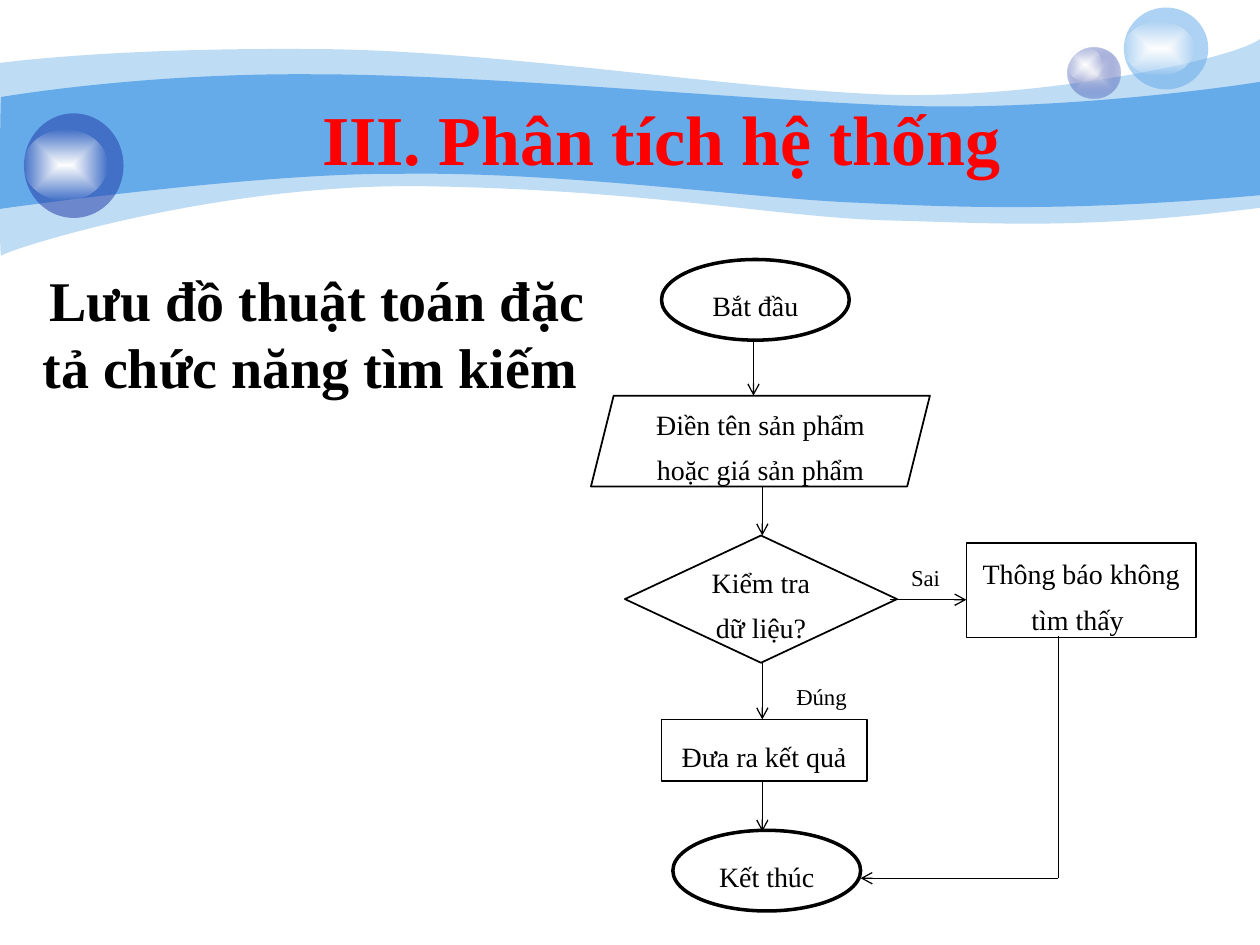
import pptx
import pptx.dml.color
import pptx.enum.shapes
import pptx.enum.text
import pptx.oxml
import pptx.oxml.ns
import pptx.util

Inches = pptx.util.Inches
Pt = pptx.util.Pt
SHAPE = pptx.enum.shapes.MSO_SHAPE
ANCHOR = pptx.enum.text.MSO_ANCHOR
CENTER = pptx.enum.text.PP_ALIGN.CENTER

FONT = "Times New Roman"
COLORS = {"ink": "000000", "paper": "FFFFFF", "title": "FF0000",
          "sky": "65AAE9", "navy": "233DA9", "mist": "E1E2ED"}

# Wave bands: opacity in percent, start point, then cubic curves
# (three points) and straight edges (one point).
WAVES = [
    (41, (0, 0.5), [
        [(0.24, 0.47), (1.07, 0.38), (2.47, 0.39)],
        [(3.86, 0.39), (5.75, 0.7), (6.99, 0.75)],
        [(8.22, 0.8), (9.8, 0.47), (10, 0.31)],
        [(10, 1.65)],
        [(8.58, 1.83), (7.87, 1.77), (7.05, 1.75)],
        [(6.22, 1.73), (5.15, 1.51), (3.43, 1.48)],
        [(1.72, 1.44), (0.04, 1.99), (0.01, 2.03)],
        [(-0.01, 2.08), (0, 0.75), (0, 0.5)]]),
    (100, (0.01, 0.77), [
        [(0.02, 0.77), (1.1, 0.58), (2.48, 0.59)],
        [(3.86, 0.59), (5.95, 0.8), (7.18, 0.84)],
        [(8.41, 0.88), (9.76, 0.69), (10, 0.65)],
        [(10, 1.55)],
        [(8.53, 1.68), (7.65, 1.65), (6.82, 1.61)],
        [(5.99, 1.58), (4.47, 1.36), (3.17, 1.38)],
        [(2.03, 1.37), (-0.02, 1.66), (-0.01, 1.66)],
        [(0, 1.66), (0, 0.77), (0.01, 0.77)]]),
]
UNITS_PER_INCH = 100

# Bubbles: body box, centre (colour, opacity), rim (colour, opacity), glow box
BUBBLES = [
    ((8.47, 0.38, 0.42, 0.4), ("mist", 100), ("navy", 31), (8.47, 0.38, 0.28, 0.27)),
    ((8.92, 0.06, 0.67, 0.65), ("sky", 53), ("sky", 53), (8.92, 0.17, 0.56, 0.43)),
    ((0.19, 0.9, 0.79, 0.83), ("navy", 53), ("navy", 53), (0.19, 1.03, 0.66, 0.56)),
]

# Text, box, size, colour
SUBTITLE = (" Lưu đồ thuật toán đặc tả chức năng tìm kiếm", (0, 2.06, 4.92, 1.18), 32, "ink")
TITLE = ("III. Phân tích hệ thống", (0.25, 0.71, 10, 0.77), 40, "title")

# Text, shape, box, outline width, text size
STEPS = [
    ("Kết thúc", SHAPE.OVAL, (5.34, 6.59, 1.49, 0.64), 2, 16),
    ("Bắt đầu", SHAPE.OVAL, (5.25, 2.06, 1.49, 0.64), 2, 16),
    ("Điền tên sản phẩm hoặc giá sản phẩm", SHAPE.PARALLELOGRAM, (4.69, 3.14, 2.69, 0.72), 1, 16),
    ("Kiểm tra dữ liệu?", SHAPE.DIAMOND, (4.96, 4.25, 2.16, 1.01), 1, 16),
    ("Sai", SHAPE.RECTANGLE, (7.05, 4.43, 0.59, 0.23), 0, 13),
    ("Đúng", SHAPE.RECTANGLE, (6.12, 5.34, 0.8, 0.3), 0, 13),
    ("Thông báo không tìm thấy ", SHAPE.RECTANGLE, (7.67, 4.31, 1.82, 0.75), 1, 16),
    ("Đưa ra kết quả", SHAPE.RECTANGLE, (5.25, 5.71, 1.63, 0.49), 1, 16),
]

# Start, end, arrowhead at the end
FLOWS = [
    ((7.06, 4.76), (7.67, 4.76), True),
    ((6.05, 5.26), (6.05, 5.71), True),
    ((5.98, 2.69), (5.98, 3.14), True),
    ((6.05, 3.86), (6.05, 4.25), True),
    ((6.05, 6.21), (6.05, 6.6), True),
    ((8.4, 5.05), (8.4, 6.97), False),
    ((8.4, 6.97), (6.83, 6.97), True),
]


def rgb(name):
    return pptx.dml.color.RGBColor.from_string(COLORS[name])


def inches(values):
    return [Inches(v) for v in values]


def color_xml(name, opacity):
    alpha = "" if opacity == 100 else f'<a:alpha val="{opacity * 1000}"/>'
    return f'<a:srgbClr val="{COLORS[name]}">{alpha}</a:srgbClr>'


def fill_shape(shape, center, rim):
    """Fill with one colour, or with a gradient from the centre to the rim."""
    ns = pptx.oxml.ns.nsdecls("a")
    if center == rim:
        xml = f"<a:solidFill {ns}>{color_xml(*center)}</a:solidFill>"
    else:
        xml = (f'<a:gradFill {ns} rotWithShape="1"><a:gsLst>'
               f'<a:gs pos="0">{color_xml(*center)}</a:gs>'
               f'<a:gs pos="100000">{color_xml(*rim)}</a:gs></a:gsLst>'
               '<a:path path="shape"><a:fillToRect l="50000" t="50000" r="50000" b="50000"/>'
               '</a:path></a:gradFill>')
    shape.shadow.inherit = False
    shape.line.fill.background()
    geometry = [child for child in shape._element.spPr if child.tag.endswith("Geom")][0]
    geometry.addnext(pptx.oxml.parse_xml(xml))


def curve_edges(shape, edges):
    """Merge each three-point edge of the outline into one cubic curve."""
    segments = iter(shape._element.findall(".//" + pptx.oxml.ns.qn("a:lnTo")))
    for edge in edges:
        parts = [next(segments) for _ in edge]
        if len(parts) == 3:
            curve = pptx.oxml.parse_xml(f'<a:cubicBezTo {pptx.oxml.ns.nsdecls("a")}/>')
            parts[0].addprevious(curve)
            for part in parts:
                curve.append(part[0])
                part.getparent().remove(part)


def add_wave(slide, opacity, start, edges):
    points = [(x * UNITS_PER_INCH, y * UNITS_PER_INCH)
              for x, y in [start] + sum(edges, [])]
    builder = slide.shapes.build_freeform(*points[0], scale=Inches(1) / UNITS_PER_INCH)
    builder.add_line_segments(points[1:], close=True)
    wave = builder.convert_to_shape()
    curve_edges(wave, edges)
    fill_shape(wave, ("sky", opacity), ("sky", opacity))


def add_bubble(slide, body, center, rim, glow):
    layers = [(body, center, rim), (glow, ("paper", 100), ("paper", 0))]
    for box, inner, outer in layers:
        fill_shape(slide.shapes.add_shape(SHAPE.OVAL, *inches(box)), inner, outer)


def write(shape, text, size, color, bold=False):
    shape.text_frame.word_wrap = True
    paragraph = shape.text_frame.paragraphs[0]
    paragraph.text = text
    paragraph.alignment = CENTER
    paragraph.font.name = FONT
    paragraph.font.size = Pt(size)
    paragraph.font.bold = bold
    paragraph.font.color.rgb = rgb(color)
    return paragraph


def add_heading(slide, text, box, size, color):
    write(slide.shapes.add_textbox(*inches(box)), text, size, color, bold=True)


def add_step(slide, text, kind, box, outline, size):
    step = slide.shapes.add_shape(kind, *inches(box))
    step.shadow.inherit = False
    step.fill.solid()
    step.fill.fore_color.rgb = rgb("paper")
    if outline:
        step.line.color.rgb = rgb("ink")
        step.line.width = Pt(outline)
    else:
        step.line.fill.background()
    step.text_frame.vertical_anchor = ANCHOR.MIDDLE
    write(step, text, size, "ink").line_spacing = 1.35


def add_flow(slide, start, end, arrow):
    flow = slide.shapes.add_connector(
        pptx.enum.shapes.MSO_CONNECTOR.STRAIGHT, *inches(start + end))
    flow.line.color.rgb = rgb("ink")
    flow.line.width = Pt(0.75)
    ns = pptx.oxml.ns.nsdecls("a")
    if arrow:
        flow.line._get_or_add_ln().append(
            pptx.oxml.parse_xml(f'<a:tailEnd {ns} type="arrow"/>'))
    flow._element.spPr.append(pptx.oxml.parse_xml(f"<a:effectLst {ns}/>"))


def main():
    deck = pptx.Presentation()
    deck.slide_width, deck.slide_height = Inches(10), Inches(7.5)
    slide = deck.slides.add_slide(deck.slide_layouts[6])
    for wave in WAVES:
        add_wave(slide, *wave)
    for bubble in BUBBLES:
        add_bubble(slide, *bubble)
    add_heading(slide, *SUBTITLE)
    for step in STEPS:
        add_step(slide, *step)
    for flow in FLOWS:
        add_flow(slide, *flow)
    add_heading(slide, *TITLE)
    deck.save("out.pptx")


if __name__ == "__main__":
    main()
